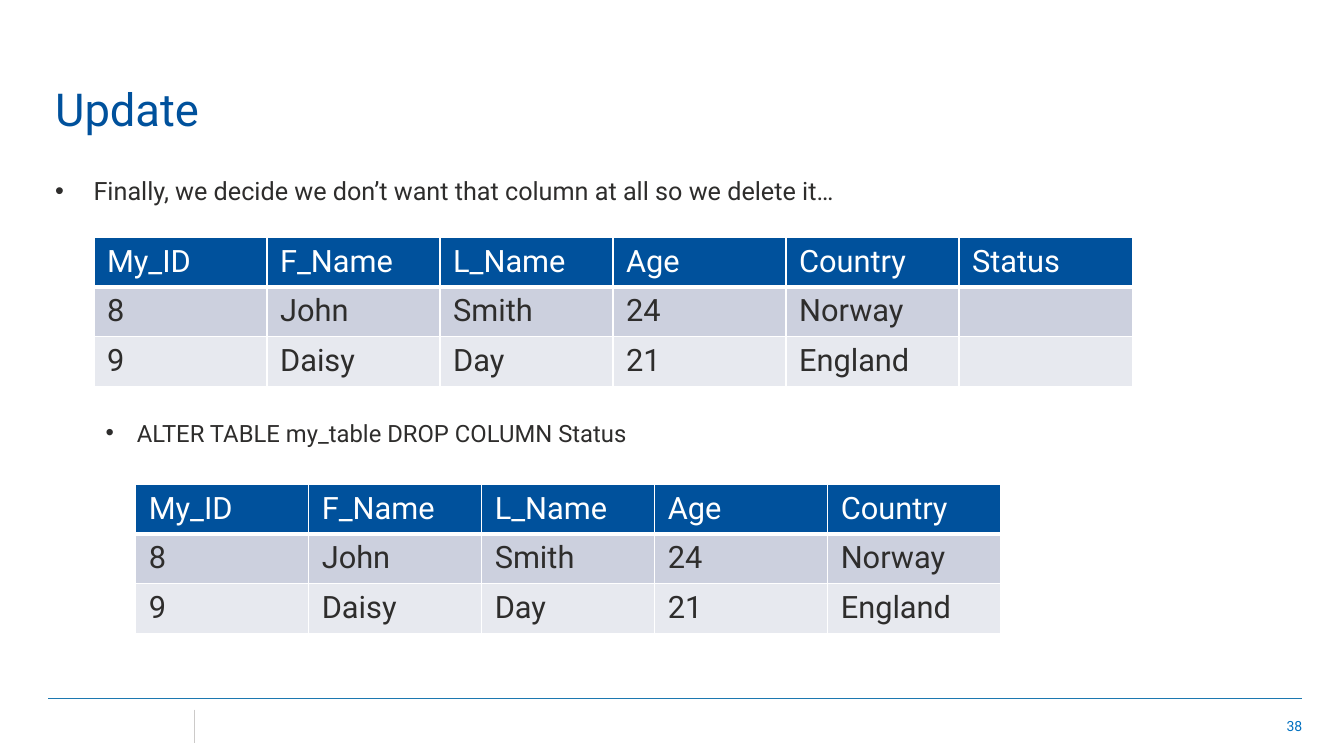
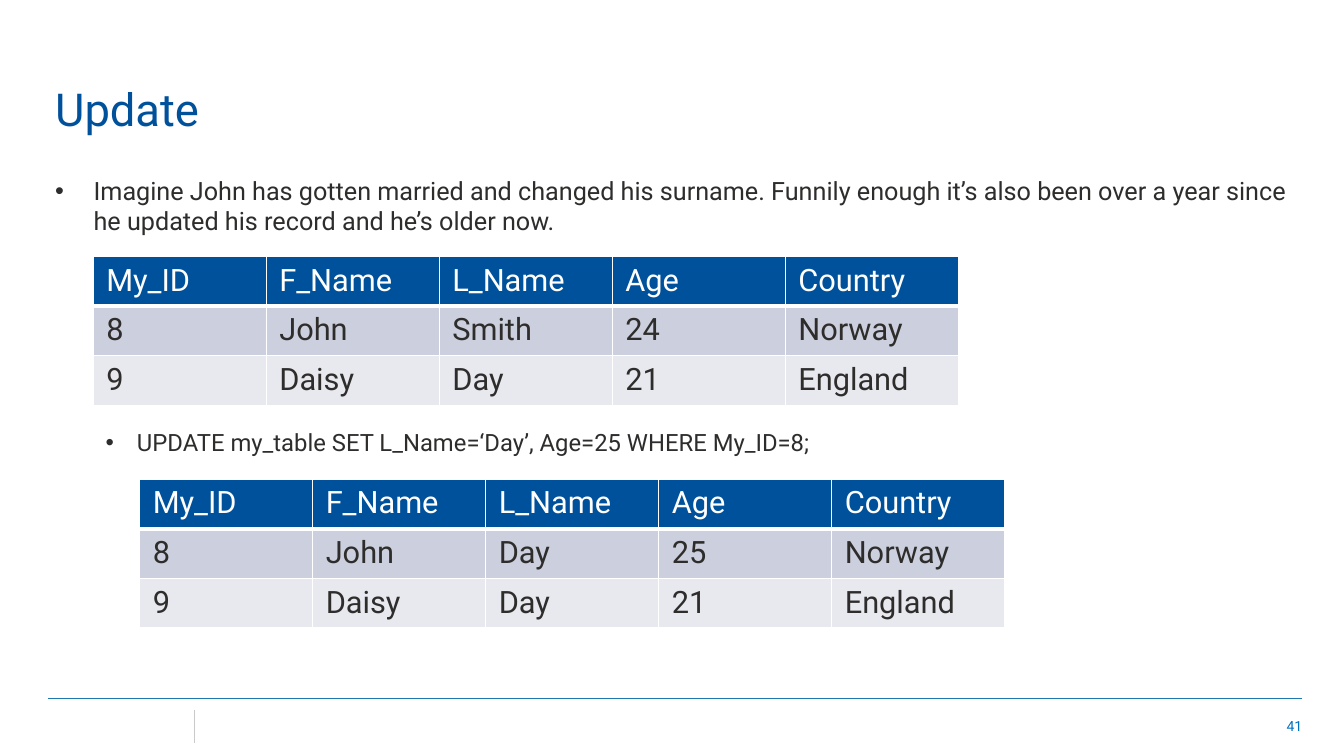
"""Build two slides that show SQL table changes before and after a statement."""
from dataclasses import dataclass

from lxml import etree
from pptx import Presentation
from pptx.dml.color import RGBColor
from pptx.enum.shapes import MSO_CONNECTOR
from pptx.enum.text import MSO_ANCHOR, PP_ALIGN
from pptx.oxml.ns import qn
from pptx.util import Cm, Pt

STRAIGHT = MSO_CONNECTOR.STRAIGHT
TOP, MIDDLE, BOTTOM = MSO_ANCHOR.TOP, MSO_ANCHOR.MIDDLE, MSO_ANCHOR.BOTTOM
LEFT, RIGHT = PP_ALIGN.LEFT, PP_ALIGN.RIGHT


@dataclass(frozen=True)
class Theme:
    """Colours, font and type sizes."""
    font: str = "Roboto"
    blue: str = "00519C"
    ink: str = "2E2D2C"
    white: str = "FFFFFF"
    number: str = "0070C0"
    rule: str = "1C78B0"
    divider: str = "CCCAC9"
    bands: tuple = ("CCD0DE", "E7E9EF")
    title_size: float = 32.4
    statement_size: float = 18
    command_size: float = 17
    table_size: float = 22
    number_size: float = 10


THEME = Theme()
COLUMN_WIDTH, ROW_HEIGHT = Cm(4.36), Cm(1.24)
HEADER = ["My_ID", "F_Name", "L_Name", "Age", "Country"]
JOHN = ["8", "John", "Smith", "24", "Norway"]
JOHN_UPDATED = ["8", "John", "Day", "25", "Norway"]
DAISY = ["9", "Daisy", "Day", "21", "England"]

RULES = [
    (Cm(1.22), Cm(17.6), Cm(32.82), Cm(17.6), THEME.rule),
    (Cm(4.9), Cm(17.88), Cm(4.9), Cm(18.72), THEME.divider),
]

SLIDES = [
    {
        "number": "38",
        "statement": "Finally, we decide we don’t want that column at all so we delete it…",
        "command": "ALTER TABLE my_table DROP COLUMN Status",
        "command_gap": Pt(144),
        "tables": [
            (Cm(2.37), Cm(5.98), [HEADER + ["Status"], JOHN + [""], DAISY + [""]]),
            (Cm(3.42), Cm(12.2), [HEADER, JOHN, DAISY]),
        ],
    },
    {
        "number": "41",
        "statement": "Imagine John has gotten married and changed his surname. Funnily enough "
                     "it’s also been over a year since he updated his record and he’s older now.",
        "command": "UPDATE my_table SET L_Name=‘Day’, Age=25 WHERE My_ID=8;",
        "command_gap": Pt(129),
        "tables": [
            (Cm(2.35), Cm(6.46), [HEADER, JOHN, DAISY]),
            (Cm(3.52), Cm(12.07), [HEADER, JOHN_UPDATED, DAISY]),
        ],
    },
]


def write(paragraph, text, size, color, alignment=LEFT):
    """Fill a paragraph with text in the theme font."""
    paragraph.text = text
    paragraph.alignment = alignment
    paragraph.font.name = THEME.font
    paragraph.font.size = Pt(size)
    paragraph.font.color.rgb = RGBColor.from_string(color)


def add_text_frame(slide, left, top, width, height, anchor):
    """Add a wrapping text box and return its text frame."""
    frame = slide.shapes.add_textbox(left, top, width, height).text_frame
    frame.word_wrap = True
    frame.vertical_anchor = anchor
    return frame


presentation = Presentation()
presentation.slide_width = Cm(33.87)
presentation.slide_height = Cm(19.05)

for content in SLIDES:
    slide = presentation.slides.add_slide(presentation.slide_layouts[6])

    number = add_text_frame(slide, Cm(25.17), Cm(17.78), Cm(7.9), Cm(1.02), MIDDLE)
    write(number.paragraphs[0], content["number"], THEME.number_size, THEME.number, RIGHT)

    for start_x, start_y, end_x, end_y, color in RULES:
        connector = slide.shapes.add_connector(STRAIGHT, start_x, start_y, end_x, end_y)
        connector.line.color.rgb = RGBColor.from_string(color)
        connector.line.width = Pt(0.25)
        etree.SubElement(connector._element.spPr, qn("a:effectLst"))

    title = add_text_frame(slide, Cm(1.14), Cm(1.8), Cm(25.35), Cm(1.75), BOTTOM)
    write(title.paragraphs[0], "Update", THEME.title_size, THEME.blue)

    body = add_text_frame(slide, Cm(1.14), Cm(4.29), Cm(31.67), Cm(12.62), TOP)
    bullets = [
        (body.paragraphs[0], content["statement"], THEME.statement_size, Pt(2), 0, Cm(0.97), Cm(-0.97)),
        (body.add_paragraph(), content["command"], THEME.command_size, content["command_gap"], 1,
         Cm(2.06), Cm(-0.79)),
    ]
    for paragraph, text, size, space_before, level, margin, indent in bullets:
        write(paragraph, text, size, THEME.ink)
        paragraph.level = level
        paragraph.space_before = space_before
        paragraph.space_after = Pt(8)
        properties = paragraph._p.get_or_add_pPr()
        properties.set("marL", str(margin))
        properties.set("indent", str(indent))
        bullet_font = etree.Element(qn("a:buFont"), typeface="Arial")
        bullet_character = etree.Element(qn("a:buChar"), char="•")
        default_run = properties.find(qn("a:defRPr"))
        default_run.addprevious(bullet_font)
        default_run.addprevious(bullet_character)

    for left, top, rows in content["tables"]:
        columns = len(rows[0])
        table = slide.shapes.add_table(len(rows), columns, left, top, COLUMN_WIDTH * columns,
                                       ROW_HEIGHT * len(rows)).table
        for column in table.columns:
            column.width = COLUMN_WIDTH
        for row_index, values in enumerate(rows):
            is_header = row_index == 0
            fill = THEME.blue if is_header else THEME.bands[(row_index - 1) % 2]
            for column_index, value in enumerate(values):
                cell = table.cell(row_index, column_index)
                cell.margin_left = cell.margin_right = Cm(0.33)
                cell.margin_top = cell.margin_bottom = Cm(0.16)
                properties = cell._tc.get_or_add_tcPr()
                for side in ("lnL", "lnR", "lnT", "lnB"):
                    width = Pt(3) if is_header and side == "lnB" else Pt(1)
                    border = etree.SubElement(properties, qn(f"a:{side}"), w=str(width))
                    border_fill = etree.SubElement(border, qn("a:solidFill"))
                    etree.SubElement(border_fill, qn("a:srgbClr"), val=THEME.white)
                cell.fill.solid()
                cell.fill.fore_color.rgb = RGBColor.from_string(fill)
                write(cell.text_frame.paragraphs[0], value, THEME.table_size,
                      THEME.white if is_header else THEME.ink)

presentation.save("out.pptx")
